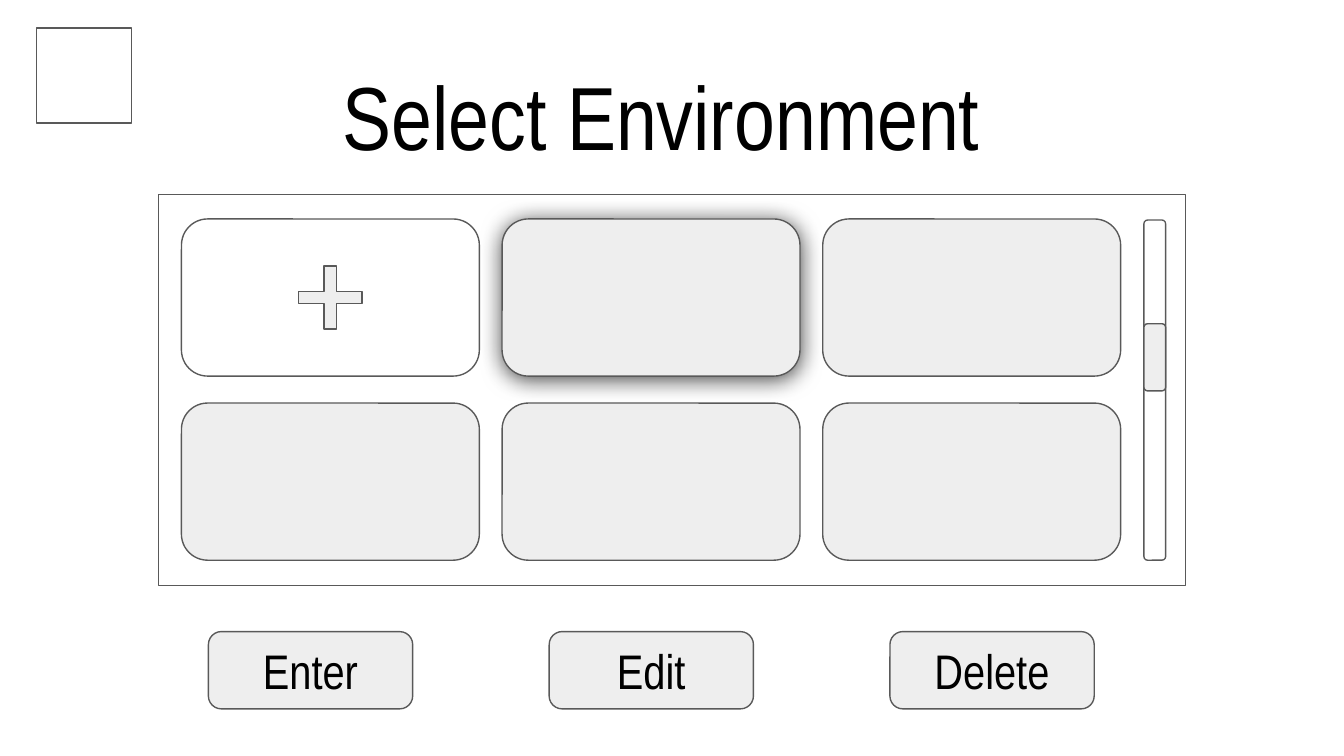
from dataclasses import dataclass
from typing import NamedTuple

from lxml.etree import SubElement
from pptx import Presentation
from pptx.dml.color import RGBColor
from pptx.enum.shapes import MSO_SHAPE
from pptx.enum.text import MSO_ANCHOR, MSO_AUTO_SIZE, PP_ALIGN
from pptx.oxml.ns import qn
from pptx.util import Cm, Pt


class Box(NamedTuple):
    """Left, top, width and height in centimetres."""
    left: float
    top: float
    width: float
    height: float

    def inner(self, left, top, width, height):
        return Box(self.left + left, self.top + top, width, height)

    def lengths(self):
        return [Cm(value) for value in self]


@dataclass(frozen=True)
class Theme:
    font: str = "Arial Narrow"
    title_size: int = 48
    button_size: int = 26
    line_width: float = 0.75
    corner: float = 0.167
    text: RGBColor = RGBColor(0, 0, 0)
    paper: RGBColor = RGBColor(0xFF, 0xFF, 0xFF)
    soft: RGBColor = RGBColor(0xEE, 0xEE, 0xEE)
    outline: RGBColor = RGBColor(0x59, 0x59, 0x59)


THEME = Theme()
INSET = Cm(0.25)


def add_outlined(slide, kind, box, fill=None, adjustment=None):
    part = slide.shapes.add_shape(kind, *box.lengths())
    part.shadow.inherit = False
    if fill is None:
        part.fill.background()
    else:
        part.fill.solid()
        part.fill.fore_color.rgb = fill
    part.line.color.rgb = THEME.outline
    part.line.width = Pt(THEME.line_width)
    if adjustment is not None:
        part.adjustments[0] = adjustment
    return part


def add_rounded(slide, box, fill):
    return add_outlined(slide, MSO_SHAPE.ROUNDED_RECTANGLE, box, fill, THEME.corner)


def write(part, text, size, anchor):
    frame = part.text_frame
    frame.text = text
    frame.word_wrap = True
    frame.vertical_anchor = anchor
    frame.margin_left = frame.margin_right = INSET
    frame.margin_top = frame.margin_bottom = INSET
    paragraph = frame.paragraphs[0]
    paragraph.alignment = PP_ALIGN.CENTER
    paragraph.font.name = THEME.font
    paragraph.font.size = Pt(size)
    paragraph.font.color.rgb = THEME.text


def add_glow_shadow(part):
    effects = part.element.spPr.find(qn("a:effectLst"))
    shadow = SubElement(effects, qn("a:outerShdw"), blurRad=str(Pt(12.4)),
                        dist=str(Pt(1.5)), dir="5400000", algn="bl", rotWithShape="0")
    color = SubElement(shadow, qn("a:srgbClr"), val=str(THEME.text))
    SubElement(color, qn("a:alpha"), val="72000")


def place_title(slide, box):
    title = slide.shapes.title
    title.left, title.top, title.width, title.height = box.lengths()
    write(title, "Select Environment ", THEME.title_size, MSO_ANCHOR.TOP)
    title.text_frame.auto_size = MSO_AUTO_SIZE.SHAPE_TO_FIT_TEXT


def place_tiles(slide, box, columns=3, rows=2, gap_x=0.43, gap_y=0.51):
    width = (box.width - (columns - 1) * gap_x) / columns
    height = (box.height - (rows - 1) * gap_y) / rows
    for index in range(columns * rows):
        row, column = divmod(index, columns)
        tile_box = box.inner(column * (width + gap_x), row * (height + gap_y), width, height)
        tile = add_rounded(slide, tile_box, THEME.soft if index else THEME.paper)
        if index == 0:  # tile for a new environment
            side = 1.63
            plus_box = tile_box.inner((width - side) / 2, (height - side) / 2, side, side)
            add_outlined(slide, MSO_SHAPE.MATH_PLUS, plus_box, THEME.soft, 0.146)
        elif index == 1:  # selected environment
            add_glow_shadow(tile)


def place_scrollbar(slide, box):
    add_rounded(slide, box, THEME.paper)
    add_rounded(slide, box.inner(0, 1.96, box.width, 1.27), THEME.soft)


def place_browser(slide, box):
    add_outlined(slide, MSO_SHAPE.RECTANGLE, box, THEME.paper)
    place_tiles(slide, box.inner(0.43, 0.46, 17.75, 6.45))
    place_scrollbar(slide, box.inner(18.62, 0.48, 0.41, 6.43))


def place_buttons(slide, box, labels=("Enter", "Edit", "Delete"), width=3.86):
    step = (box.width - width) / (len(labels) - 1)
    for index, label in enumerate(labels):
        button = add_rounded(slide, box.inner(index * step, 0, width, box.height), THEME.soft)
        write(button, label, THEME.button_size, MSO_ANCHOR.MIDDLE)


def main():
    presentation = Presentation()
    presentation.slide_width = Cm(25.4)
    presentation.slide_height = Cm(14.29)
    slide = presentation.slides.add_slide(presentation.slide_layouts[5])
    slide.background.fill.solid()
    slide.background.fill.fore_color.rgb = THEME.paper

    place_title(slide, Box(5.72, 0.91, 13.94, 2.57))
    place_browser(slide, Box(3, 3.68, 19.41, 7.39))
    place_buttons(slide, Box(3.94, 11.94, 16.74, 1.46))
    # Empty corner square
    add_outlined(slide, MSO_SHAPE.RECTANGLE, Box(0.69, 0.53, 1.8, 1.8))

    presentation.save("out.pptx")


if __name__ == "__main__":
    main()
